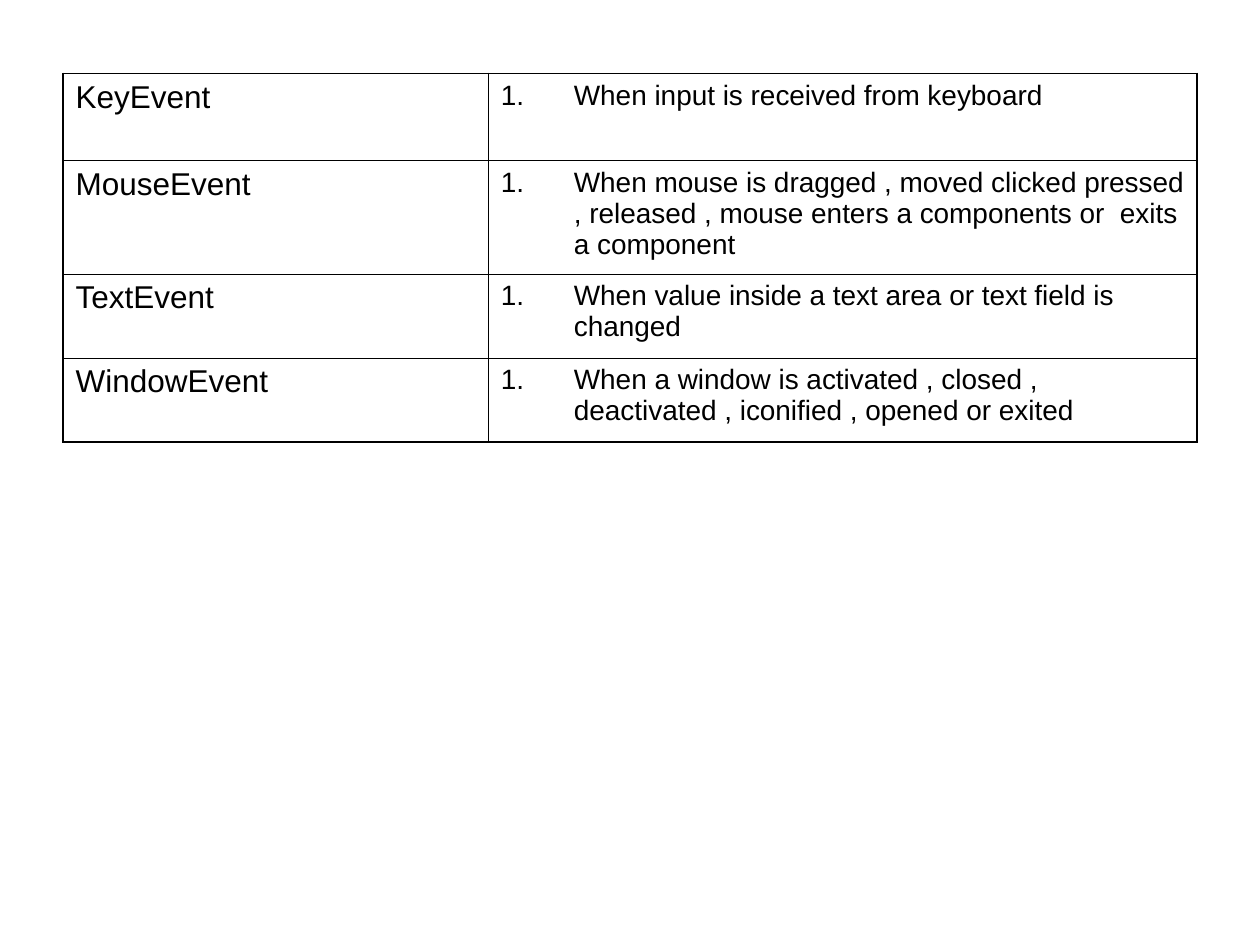
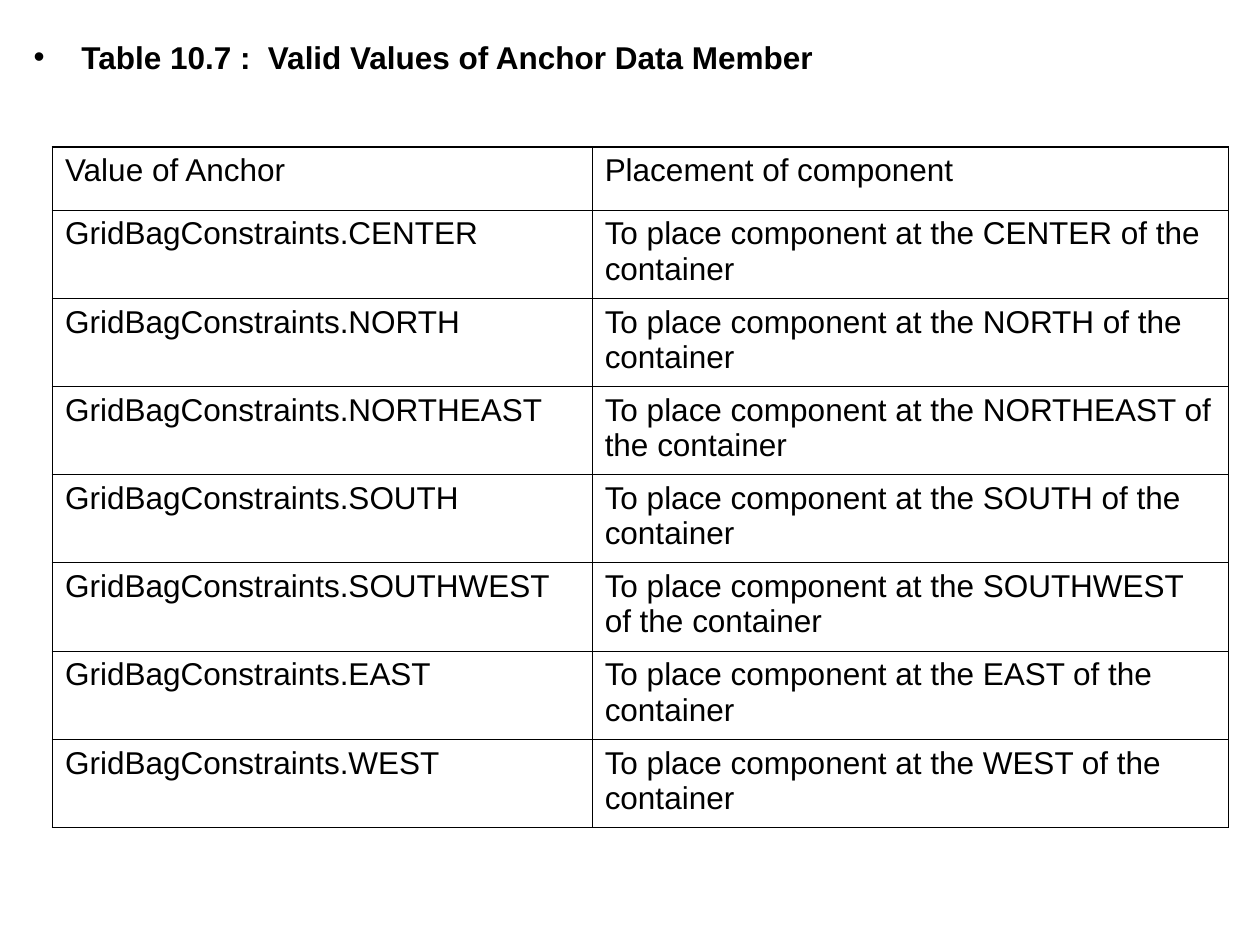
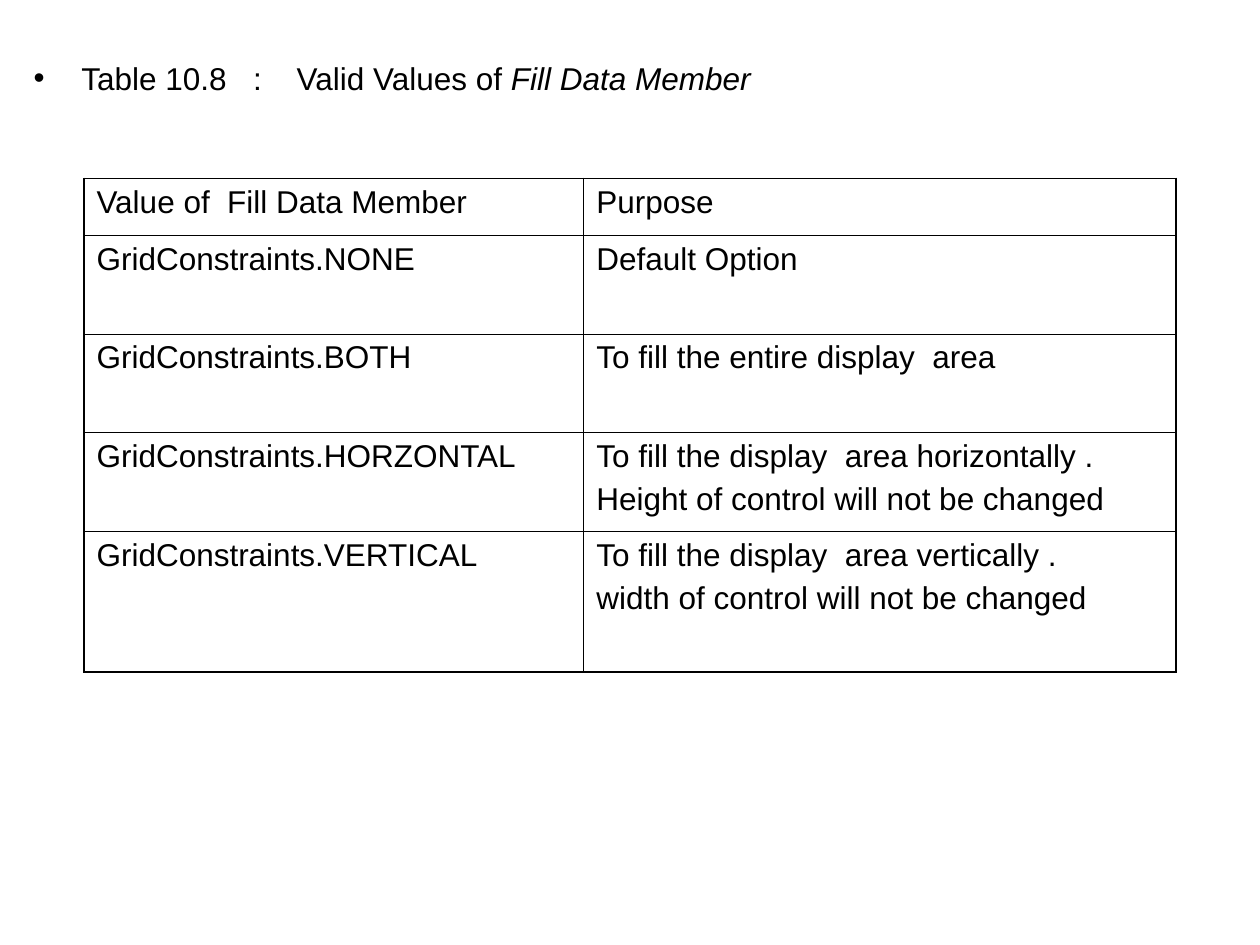
from dataclasses import dataclass

from lxml.etree import SubElement
from pptx import Presentation
from pptx.dml.color import RGBColor
from pptx.enum.text import MSO_AUTO_SIZE as AutoSize
from pptx.oxml.ns import qn
from pptx.slide import Slide
from pptx.util import Emu, Inches, Pt

COLORS = {"ink": "000000"}
FONT = "Arial"
TEXT_SIZE, LIST_SIZE = 18, 16
OUTER_LINE, INNER_LINE = 1.08, 0.45

# Page grid: 120 columns by 90 rows
SLIDE_W, SLIDE_H = Inches(10), Inches(7.5)
COLUMN, ROW = SLIDE_W / 120, SLIDE_H / 90


@dataclass(frozen=True)
class Run:
    text: str
    bold: bool = False
    italic: bool = False
    tracking: float = 0


@dataclass(frozen=True)
class Caption:
    box: tuple[float, float, float, float]
    runs: list[Run]
    before: float


@dataclass(frozen=True)
class Grid:
    left: float
    top: float
    widths: list[float]
    heights: list[float]
    rows: list[tuple[str, str]]
    numbered: bool = False


def across(n: float) -> Emu:
    return Emu(round(n * COLUMN))


def down(n: float) -> Emu:
    return Emu(round(n * ROW))


def write(p, *runs: Run, size: float = TEXT_SIZE, before: float = 4.5,
          indent: float = 0, bullet: str = "", **bullet_attrs: str) -> None:
    """Fill a paragraph with runs and an optional hanging bullet."""
    pPr = p._p.get_or_add_pPr()
    if bullet:
        pPr.set("marL", str(Inches(indent)))
        pPr.set("indent", str(-Inches(indent)))
        SubElement(pPr, qn(f"a:{bullet}"), **bullet_attrs)
    p.space_before = Pt(before)
    for run in runs:
        r = p.add_run()
        r.text = run.text
        font = r.font
        font.name, font.size = FONT, Pt(size)
        font.bold, font.italic = run.bold, run.italic
        font.color.rgb = RGBColor.from_string(COLORS["ink"])
        if run.tracking:
            r._r.get_or_add_rPr().set("spc", str(round(run.tracking * 100)))


def add_border(cell, side: str, width: float) -> None:
    ln = SubElement(cell._tc.get_or_add_tcPr(), qn(f"a:ln{side}"), w=str(Pt(width)))
    fill = SubElement(ln, qn("a:solidFill"))
    SubElement(fill, qn("a:srgbClr"), val=COLORS["ink"])


def draw_grid(slide: Slide, grid: Grid) -> None:
    last_row, last_col = len(grid.heights) - 1, len(grid.widths) - 1
    table = slide.shapes.add_table(
        last_row + 1, last_col + 1, across(grid.left), down(grid.top),
        across(sum(grid.widths)), down(sum(grid.heights))).table
    table.first_row = table.horz_banding = False
    for column, width in zip(table.columns, grid.widths):
        column.width = across(width)
    for row, height in zip(table.rows, grid.heights):
        row.height = down(height)

    for i, texts in enumerate(grid.rows):
        for j, text in enumerate(texts):
            cell = table.cell(i, j)
            edges = {"L": j == 0, "R": j == last_col, "T": i == 0, "B": i == last_row}
            for side, outer in edges.items():
                add_border(cell, side, OUTER_LINE if outer else INNER_LINE)
            cell.fill.background()
            tf = cell.text_frame
            for k, line in enumerate(text.split("\n")):
                p = tf.add_paragraph() if k else tf.paragraphs[0]
                if grid.numbered and j == last_col:
                    write(p, Run(line), size=LIST_SIZE, before=4, indent=0.58,
                          bullet="buAutoNum", type="arabicPeriod")
                else:
                    write(p, Run(line))


def draw_caption(slide: Slide, caption: Caption) -> None:
    title, body = slide.shapes.title, slide.placeholders[1]
    title._element.getparent().remove(title._element)
    left, top, width, height = caption.box
    body.left, body.top = across(left), down(top)
    body.width, body.height = across(width), down(height)
    tf = body.text_frame
    tf.auto_size = AutoSize.NONE
    write(tf.paragraphs[0], *caption.runs, before=caption.before,
          indent=0.38, bullet="buChar", char="•")


# Slide content
EVENTS = Grid(6, 7, [40.5, 67.5], [8.3, 10.8, 8, 8], [
    ("KeyEvent", "When input is received from keyboard"),
    ("MouseEvent", "When mouse is dragged , moved clicked pressed , released , "
                   "mouse enters a components or  exits a component"),
    ("TextEvent", "When value inside a text area or text field is changed"),
    ("WindowEvent", "When a window is activated , closed , deactivated , "
                    "iconified , opened or exited"),
], numbered=True)

ANCHORS = ["CENTER", "NORTH", "NORTHEAST", "SOUTH", "SOUTHWEST", "EAST", "WEST"]
ANCHOR_CAPTION = Caption(
    (2, 3, 115, 5),
    [Run("Table 10.7 :  Valid Values of Anchor Data Member", bold=True)], before=4)
ANCHOR_VALUES = Grid(5, 14, [51.4, 60.6], [6] + [8.4] * len(ANCHORS), [
    ("Value of Anchor", "Placement of component"),
    *((f"GridBagConstraints.{a}", f"To place component at the {a} of the container")
      for a in ANCHORS),
])

# Tracked single spaces set the wide gaps around the colon
FILL_CAPTION = Caption(
    (2, 5, 112, 10),
    [Run("Table 10.8"), Run(" ", tracking=10), Run(":"), Run(" ", tracking=15),
     Run("Valid Values of "), Run("Fill Data Member", italic=True)], before=4.5)
FILL_VALUES = Grid(8, 17, [47.6, 56.4], [5.4, 9.4, 9.4, 9.4, 13.4], [
    ("Value of  Fill Data Member", "Purpose"),
    ("GridConstraints.NONE", "Default Option"),
    ("GridConstraints.BOTH", "To fill the entire display  area"),
    ("GridConstraints.HORZONTAL",
     "To fill the display  area horizontally .\nHeight of control will not be changed"),
    ("GridConstraints.VERTICAL",
     "To fill the display  area vertically .\nwidth of control will not be changed"),
])

PAGES = [(None, EVENTS), (ANCHOR_CAPTION, ANCHOR_VALUES), (FILL_CAPTION, FILL_VALUES)]


def main() -> None:
    prs = Presentation()
    prs.slide_width, prs.slide_height = SLIDE_W, SLIDE_H
    content, blank = prs.slide_layouts[1], prs.slide_layouts[6]
    for caption, grid in PAGES:
        slide = prs.slides.add_slide(content if caption else blank)
        if caption:
            draw_caption(slide, caption)
        draw_grid(slide, grid)
    prs.save("out.pptx")


if __name__ == "__main__":
    main()
